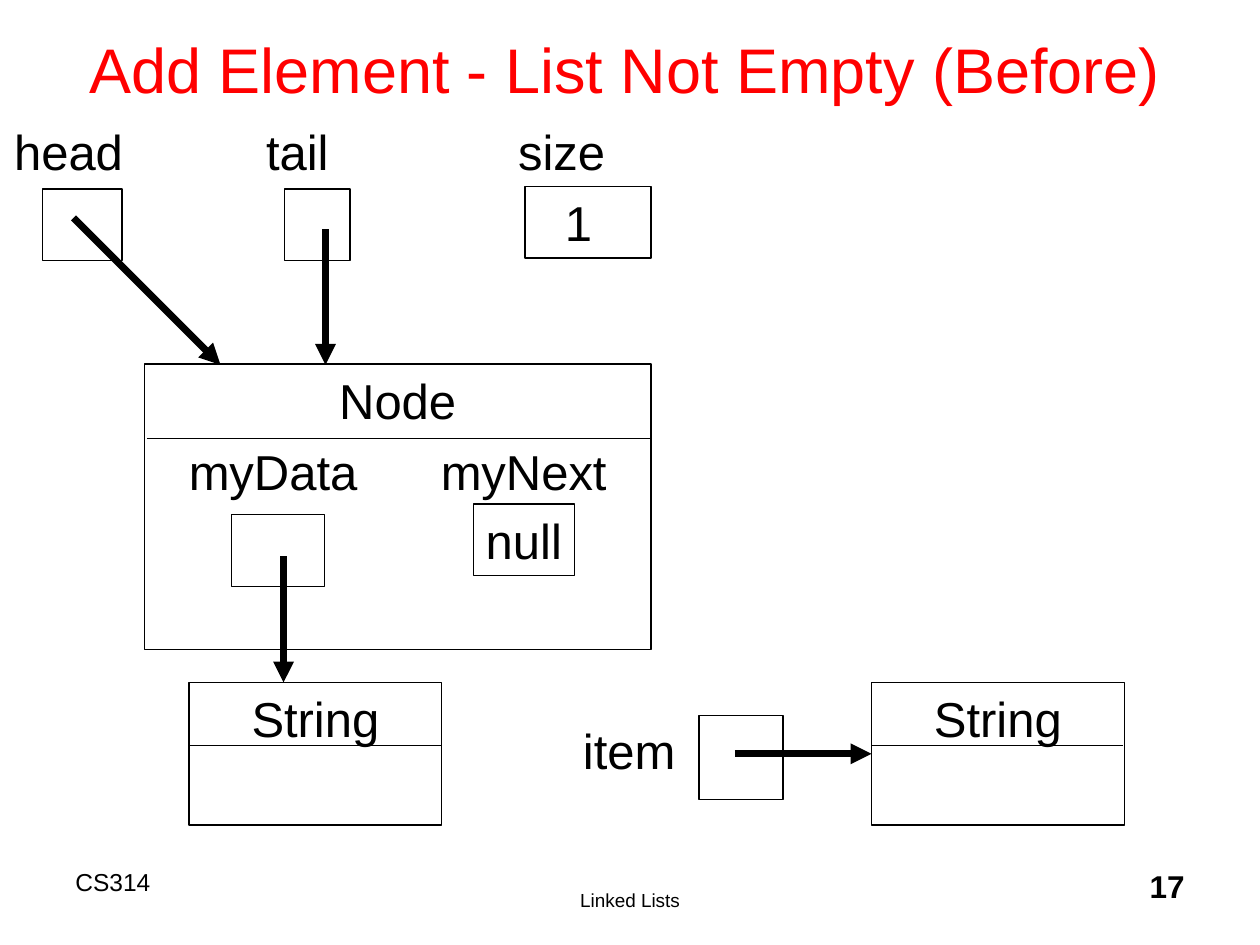
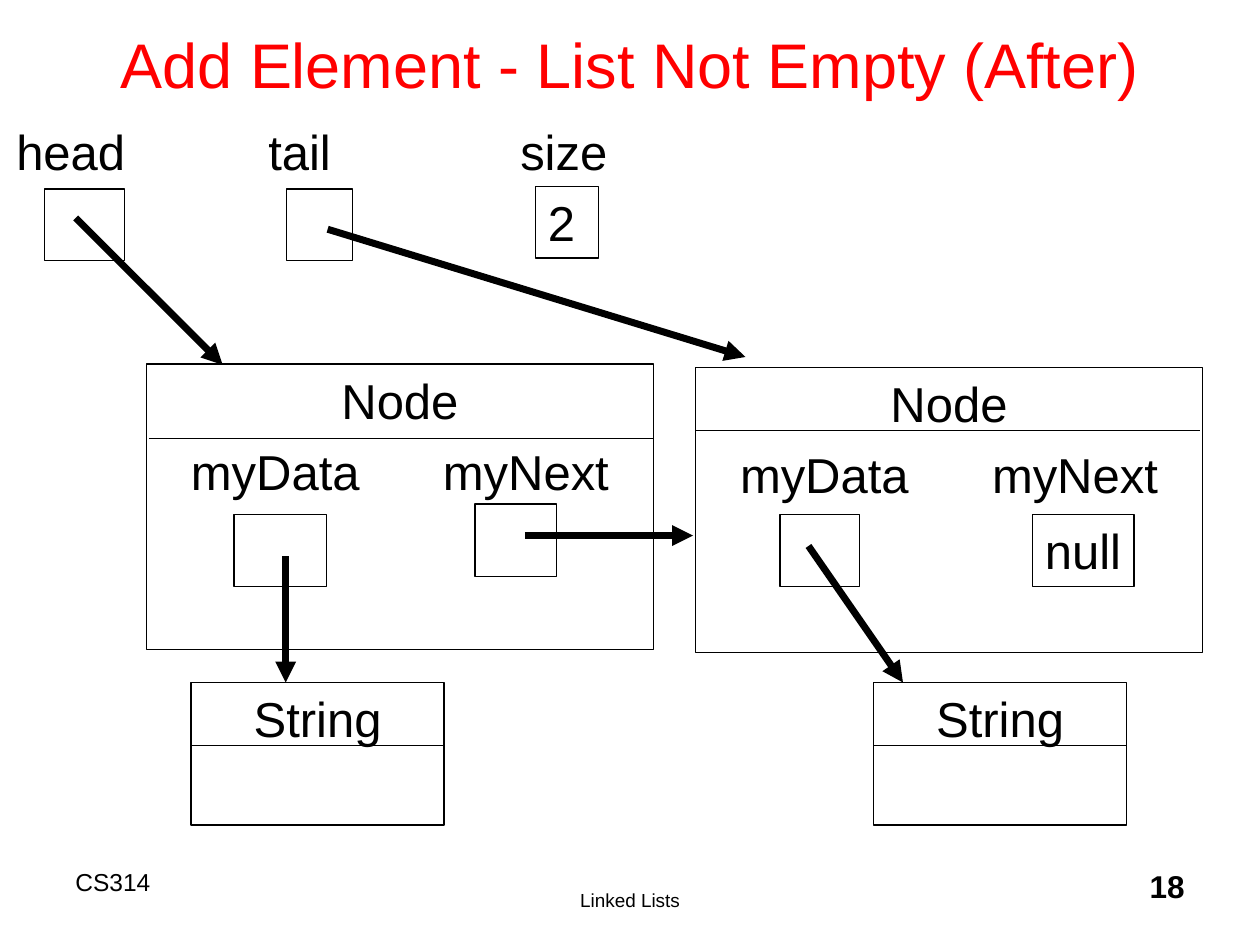
import pptx
import pptx.util
import pptx.dml.color
import pptx.enum.shapes
import pptx.enum.text
import lxml.etree
from dataclasses import dataclass
from pptx.util import Pt

ALIGN = pptx.enum.text.PP_ALIGN
ANCHOR = pptx.enum.text.MSO_ANCHOR


@dataclass(frozen=True)
class Theme:
    font: str = "Arial"
    ink: pptx.dml.color.RGBColor = pptx.dml.color.RGBColor(0, 0, 0)
    red: pptx.dml.color.RGBColor = pptx.dml.color.RGBColor(255, 0, 0)
    title: float = 36
    body: float = 28
    number: float = 18
    course: float = 14
    topic: float = 10.8
    thin: float = 0.75
    thick: float = 4
    space: float = 7
    tab: float = 72


theme = Theme()


def box(slide, x, y, w, h, text="", framed=True, size=theme.body, color=theme.ink,
        align=ALIGN.LEFT, anchor=ANCHOR.TOP, wrap=True, inset=7.2, bold=False):
    """Draw a rectangle or, when not framed, a plain text box; tabs stop every inch."""
    place = Pt(x), Pt(y), Pt(w), Pt(h)
    if framed:
        shape = slide.shapes.add_shape(pptx.enum.shapes.MSO_SHAPE.RECTANGLE, *place)
        shape.shadow.inherit = False
        shape.fill.background()
        shape.line.color.rgb = theme.ink
        shape.line.width = Pt(theme.thin)
    else:
        shape = slide.shapes.add_textbox(*place)
    if not text:
        return shape
    frame = shape.text_frame
    frame.text = text
    frame.word_wrap = wrap
    frame.vertical_anchor = anchor
    frame.margin_left = Pt(inset)
    for para in frame.paragraphs:
        para.alignment = align
        if size == theme.body:
            para.space_before = Pt(theme.space)
        if "\t" in para.text:
            stops = lxml.etree.SubElement(para._p.get_or_add_pPr(), pptx.oxml.ns.qn("a:tabLst"))
            for step in range(8):
                lxml.etree.SubElement(stops, pptx.oxml.ns.qn("a:tab"),
                                      pos=str(Pt(step * theme.tab)), algn="l")
        for run in para.runs:
            run.font.name = theme.font
            run.font.size = Pt(size)
            run.font.bold = bold
            run.font.color.rgb = color
    return shape


def link(slide, x1, y1, x2, y2, arrow=True):
    """Draw a thick arrow, or a thin divider when arrow is False."""
    line = slide.shapes.add_connector(pptx.enum.shapes.MSO_CONNECTOR.STRAIGHT,
                                      Pt(x1), Pt(y1), Pt(x2), Pt(y2))
    line.line.color.rgb = theme.ink
    line.line.width = Pt(theme.thick if arrow else theme.thin)
    if arrow:
        lxml.etree.SubElement(line.line._get_or_add_ln(), pptx.oxml.ns.qn("a:tailEnd"),
                              type="triangle")
    lxml.etree.SubElement(line._element.spPr, pptx.oxml.ns.qn("a:effectLst"))
    return line


deck = pptx.Presentation()
deck.slide_width, deck.slide_height = Pt(720), Pt(540)

# Title with its place, number, and shift of the shared diagram
pages = [
    ("Add Element - List Not Empty (Before)", (24, -6, 666, 90), "17", 0),
    ("Add Element - List Not Empty (After)", (54, -12, 612, 96), "18", 1.25),
]
slides, strings = [], []
for title, place, number, dx in pages:
    slide = deck.slides.add_slide(deck.slide_layouts[6])
    slides.append(slide)

    # Title and footer
    box(slide, *place, title, framed=False, size=theme.title, color=theme.red,
        align=ALIGN.CENTER, anchor=ANCHOR.MIDDLE)
    box(slide, 36, 492, 180, 36, "CS314", framed=False, size=theme.course)
    box(slide, 222, 504.4, 276, 23.6, "Linked Lists", framed=False, size=theme.topic,
        align=ALIGN.CENTER)
    box(slide, 534, 492, 150, 36, number, framed=False, size=theme.number,
        align=ALIGN.RIGHT, bold=True)

    # List fields
    box(slide, 1 + dx, 66, 352, 41, "head\t\ttail\t\tsize", framed=False)
    box(slide, 24.3 + dx, 108, 45.5, 41)
    box(slide, 162.5 + dx, 108, 37.5, 41)

    # First node and its data
    box(slide, 82.5 + dx, 208, 289.5, 163, "Node\nmyData\tmyNext", align=ALIGN.CENTER)
    link(slide, 84 + dx, 250.5, 372 + dx, 250.5, arrow=False)
    box(slide, 132.5 + dx, 294, 53, 41)

    # String objects
    for left in (108 + dx, 498 + dx):
        string = box(slide, left, 390, 144.5, 81.5, "String", align=ALIGN.CENTER)
        link(slide, left, 426, left + 144, 426, arrow=False)
    strings.append(string)

    link(slide, 42 + dx, 124.5, 126 + dx, 208.5)
    link(slide, 162 + dx, 318, 162 + dx, 390)

before, after = slides

# Before: one node, new item waiting
box(before, 300, 106.5, 72, 41, "1", inset=22.8)
box(before, 270.5, 288, 58, 41, "null", wrap=False)
link(before, 186, 131, 186, 208.5)
box(before, 326, 408, 67, 41, "item", framed=False, wrap=False)
box(before, 399.5, 408.75, 48, 48)
link(before, 420, 430.75, 498, 430.75).end_connect(strings[0], 1)

# After: second node linked in
box(after, 306, 106.5, 36, 41, "2")
box(after, 271.5, 288, 46.5, 41.5)
box(after, 397.5, 210, 289.5, 163, "Node\nmyData\tmyNext", align=ALIGN.CENTER)
link(after, 397.5, 246, 685.5, 246, arrow=False)
box(after, 590, 294, 58, 41, "null", wrap=False)
box(after, 445.75, 294, 45.5, 41)
link(after, 187.25, 131, 426, 204)
link(after, 300, 306, 396, 306)
link(after, 462, 312, 516, 390)

deck.save("out.pptx")
